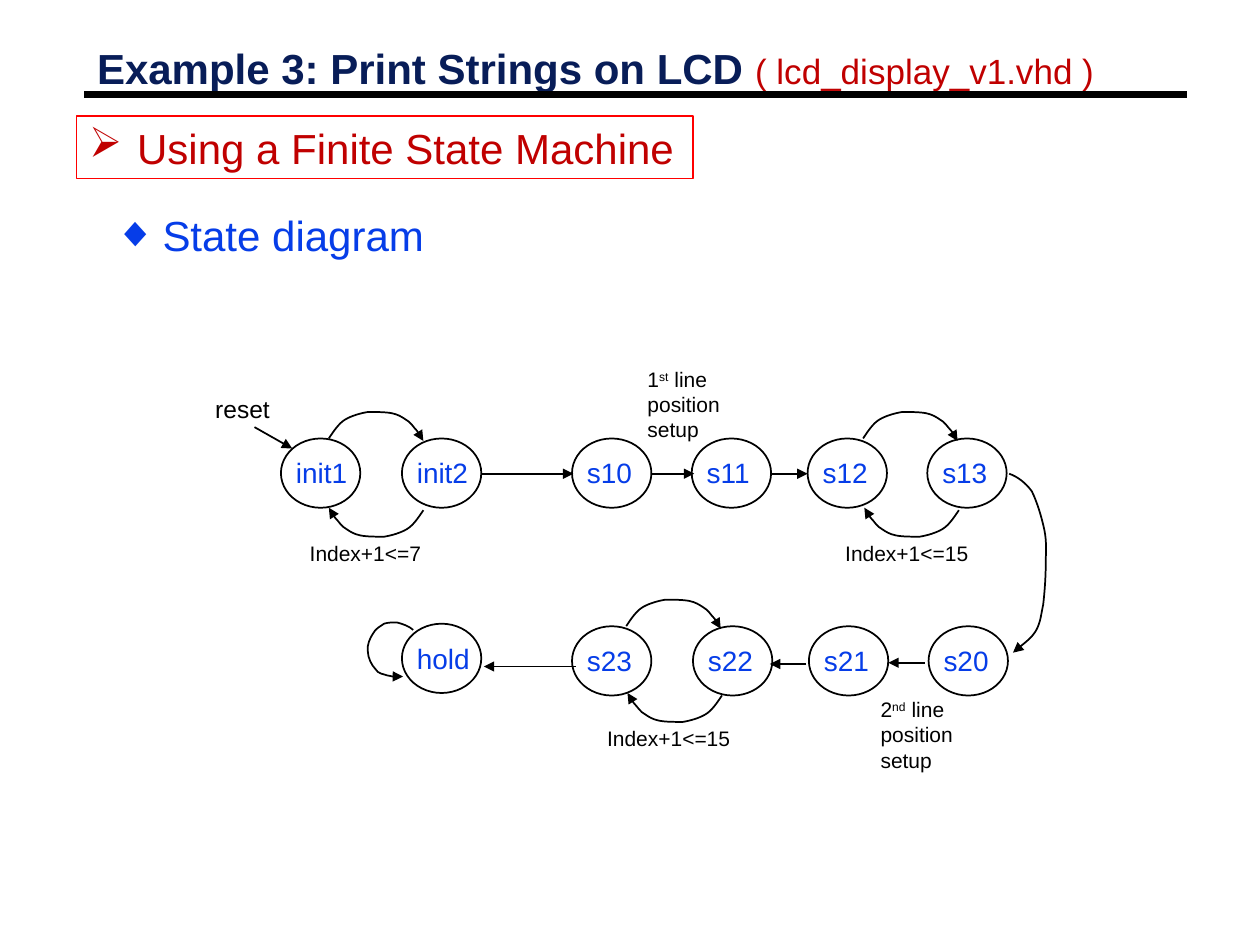
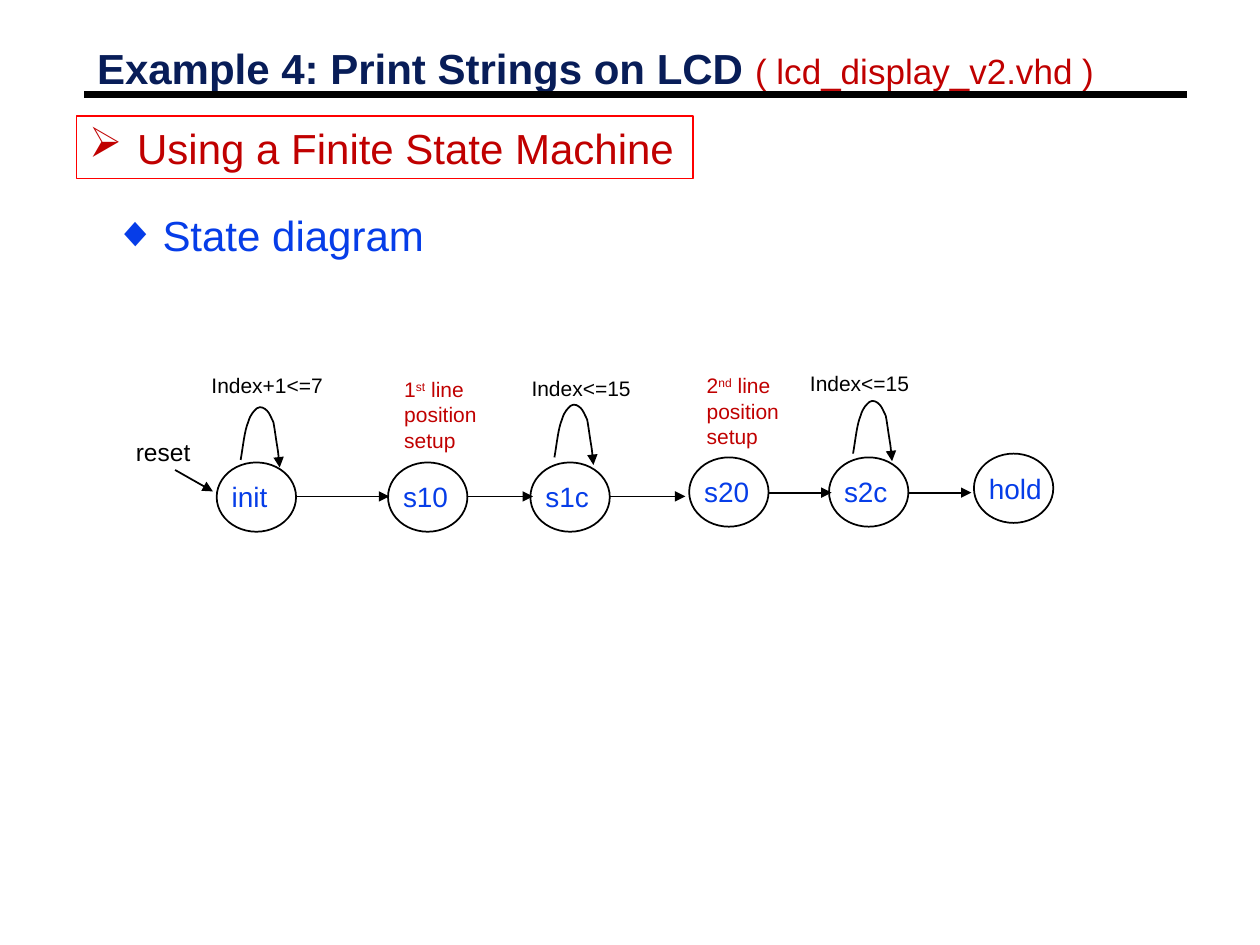
from lxml import etree
from pptx import Presentation
from pptx.dml.color import RGBColor
from pptx.enum import shapes, text
from pptx.oxml.ns import qn
from pptx.util import Inches, Pt

FONT = "Arial"
NAVY, BLUE, CRIMSON, RED, BLACK = "081D58", "063DE8", "C00000", "FF0000", "000000"
STATE_W, STATE_H = 0.63, 0.55

# Bezier points relative to a curve's start: two controls and an end per segment
ARC = [(0.04, -0.06), (0.08, -0.12), (0.13, -0.15), (0.18, -0.18), (0.25, -0.2), (0.31, -0.21),
       (0.38, -0.21), (0.45, -0.21), (0.5, -0.2), (0.55, -0.19), (0.58, -0.17), (0.61, -0.15),
       (0.65, -0.13), (0.67, -0.09), (0.7, -0.06), (0.72, -0.03), (0.75, 0.02), (0.75, 0.02)]
ARC_BACK = [(-dx, -dy) for dx, dy in ARC]
SELF_LOOP = [(0.02, -0.11), (0.03, -0.23), (0.06, -0.3), (0.08, -0.37), (0.11, -0.39),
             (0.13, -0.41), (0.16, -0.43), (0.19, -0.41), (0.21, -0.39), (0.23, -0.37),
             (0.24, -0.34), (0.26, -0.3), (0.27, -0.25), (0.28, -0.17), (0.29, -0.11),
             (0.3, -0.05), (0.31, 0.06), (0.31, 0.06)]
HOLD_LOOP = [(-0.03, -0.03), (-0.09, -0.05), (-0.13, -0.06), (-0.16, -0.06), (-0.2, -0.06),
             (-0.23, -0.05), (-0.26, -0.03), (-0.3, -0.01), (-0.32, 0.03), (-0.34, 0.06),
             (-0.37, 0.12), (-0.36, 0.17), (-0.36, 0.22), (-0.33, 0.28), (-0.3, 0.31),
             (-0.28, 0.35), (-0.23, 0.35), (-0.21, 0.36), (-0.18, 0.36), (-0.18, 0.36),
             (-0.16, 0.37), (-0.14, 0.37), (-0.11, 0.37), (-0.08, 0.37)]
ROW_CHANGE = [(0.06, 0.02), (0.13, 0.07), (0.18, 0.14), (0.22, 0.22), (0.26, 0.35), (0.28, 0.45),
              (0.3, 0.55), (0.29, 0.63), (0.29, 0.73), (0.29, 0.83), (0.28, 0.95), (0.27, 1.04),
              (0.25, 1.13), (0.25, 1.18), (0.21, 1.25), (0.17, 1.31), (0.1, 1.36), (0.03, 1.42)]


def rgb(value):
    return RGBColor.from_string(value)


def style_font(font, size, color, bold=False):
    font.name, font.size, font.bold = FONT, Pt(size), bold
    font.color.rgb = rgb(color)


def style_line(line, color, width, arrow=False):
    line.color.rgb = rgb(color)
    line.width = Pt(width)
    if arrow:
        ln = line._get_or_add_ln()
        etree.SubElement(ln, qn("a:tailEnd"), type="triangle")


def place(shape, left, top, width, height):
    shape.left, shape.top = Inches(left), Inches(top)
    shape.width, shape.height = Inches(width), Inches(height)


class Deck:
    def __init__(self):
        self.prs = Presentation()
        self.prs.slide_width, self.prs.slide_height = Inches(10), Inches(7.5)
        self.slide = None

    def new_slide(self, heading, file_name):
        """Start a slide with the title, rule, boxed topic and subtopic all slides share."""
        self.slide = self.prs.slides.add_slide(self.prs.slide_layouts[1])
        self.line((0.67, 0.75), (9.42, 0.75), 4.5, arrow=False)
        self.title(heading, file_name)

        subtopic = self.slide.placeholders[1]
        place(subtopic, 0.81, 1.61, 2.68, 0.5)
        self.bullet(subtopic, "State diagram", "◆", BLUE)

        topic = self.slide.shapes.add_shape(
            shapes.MSO_SHAPE.RECTANGLE, *map(Inches, (0.61, 0.92, 4.89, 0.5)))
        self.outline(topic, RED, 0.75)
        self.bullet(topic, "Using a Finite State Machine", "➢", CRIMSON)

    def title(self, heading, file_name):
        title = self.slide.shapes.title
        place(title, 0.67, 0.25, 8.77, 0.37)
        frame = title.text_frame
        frame.auto_size = text.MSO_AUTO_SIZE.NONE
        frame.vertical_anchor = text.MSO_ANCHOR.TOP
        frame.margin_top, frame.margin_bottom = Inches(0.09), 0
        line = frame.paragraphs[0]
        line.alignment = text.PP_ALIGN.LEFT
        for words, size, color, bold in ((heading + " ", 24, NAVY, True),
                                         (f"( {file_name} )", 20, CRIMSON, False)):
            run = line.add_run()
            run.text = words
            style_font(run.font, size, color, bold)

    def bullet(self, shape, words, mark, color):
        frame = shape.text_frame
        frame.word_wrap = True
        frame.auto_size = text.MSO_AUTO_SIZE.NONE
        frame.vertical_anchor = text.MSO_ANCHOR.TOP
        item = frame.paragraphs[0]
        item.text = words
        item.alignment = text.PP_ALIGN.LEFT
        item.space_before = Pt(0)
        props = item._p.get_or_add_pPr()
        props.set("marL", str(Inches(0.38)))
        props.set("indent", str(-Inches(0.38)))
        etree.SubElement(props, qn("a:buChar"), char=mark)
        style_font(item.font, 24, color)

    def outline(self, shape, color=BLACK, width=1, arrow=False):
        shape.shadow.inherit = False
        shape.fill.background()
        style_line(shape.line, color, width, arrow)

    def note(self, words, left, top, width, height=0.3, size=12, color=BLACK, wrap=False):
        box = self.slide.shapes.add_textbox(*map(Inches, (left, top, width, height)))
        box.text_frame.word_wrap = wrap
        label = box.text_frame.paragraphs[0]
        label.text = words
        style_font(label.font, size, color)
        return label

    def line_setup(self, number, suffix, left, top, color=BLACK):
        """Add the note '1st line position setup' with a raised suffix."""
        label = self.note(number, left, top, 0.79, 0.71, color=color, wrap=True)
        raised = label.add_run()
        raised.text = suffix
        raised._r.get_or_add_rPr().set("baseline", "30000")
        label.add_run().text = " line position setup"

    def state(self, name, left, top):
        circle = self.slide.shapes.add_shape(
            shapes.MSO_SHAPE.OVAL, *map(Inches, (left, top, STATE_W, STATE_H)))
        self.outline(circle)
        self.note(name, left + 0.02, top + 0.09, 0.65, 0.37, 16, BLUE, wrap=True)

    def line(self, start, end, width=1, arrow=True):
        line = self.slide.shapes.add_connector(
            shapes.MSO_CONNECTOR.STRAIGHT, *map(Inches, start + end))
        style_line(line.line, BLACK, width, arrow)
        etree.SubElement(line._element.spPr, qn("a:effectLst"))

    def curve(self, x, y, offsets):
        builder = self.slide.shapes.build_freeform(Inches(x), Inches(y))
        builder.add_line_segments(
            [(Inches(x + dx), Inches(y + dy)) for dx, dy in offsets], close=False)
        curve = builder.convert_to_shape()
        # Merge every three straight segments into one Bezier segment
        path = next(curve._element.iter(qn("a:path")))
        segments = path.findall(qn("a:lnTo"))
        for i in range(0, len(segments), 3):
            bezier = etree.SubElement(path, qn("a:cubicBezTo"))
            for segment in segments[i:i + 3]:
                bezier.append(segment[0])
                path.remove(segment)
        self.outline(curve, arrow=True)

    def reset(self, left, top):
        self.note("reset", left, top, 0.64, 0.34, 14)
        self.line((left + 0.41, top + 0.31), (left + 0.71, top + 0.48))


def two_row_machine(deck):
    deck.new_slide("Example 3: Print Strings on LCD", "lcd_display_v1.vhd")
    rows = {3.48: {"init1": 2.23, "init2": 3.19, "s10": 4.54, "s11": 5.49,
                   "s12": 6.41, "s13": 7.36},
            4.95: {"hold": 3.19},
            4.97: {"s23": 4.54, "s22": 5.5, "s21": 6.42, "s20": 7.37}}
    for top, states in rows.items():
        for name, left in states.items():
            deck.state(name, left, top)

    for x, y in ((2.61, 3.48), (6.85, 3.48), (4.97, 4.97)):
        deck.curve(x, y, ARC)
    for x, y in ((3.36, 4.05), (7.61, 4.05), (5.73, 5.52)):
        deck.curve(x, y, ARC_BACK)
    deck.curve(8.01, 3.76, ROW_CHANGE)
    deck.curve(3.28, 5, HOLD_LOOP)

    for x1, x2, y in ((3.82, 4.55, 3.76), (5.17, 5.51, 3.76), (6.12, 6.41, 3.76),
                      (7.34, 7.05, 5.26), (6.4, 6.11, 5.27), (4.57, 3.84, 5.29)):
        deck.line((x1, y), (x2, y))

    deck.reset(1.61, 3.08)
    deck.note("Index+1<=7", 2.36, 4.24, 1.09)
    deck.note("Index+1<=15", 6.61, 4.24, 1.19)
    deck.note("Index+1<=15", 4.72, 5.71, 1.19)
    deck.line_setup("1", "st", 5.04, 2.86)
    deck.line_setup("2", "nd", 6.89, 5.48)


def one_row_machine(deck):
    deck.new_slide("Example 4: Print Strings on LCD", "lcd_display_v2.vhd")
    for name, left, top in (("init", 1.72, 3.67), ("s10", 3.08, 3.67), ("s1c", 4.21, 3.67),
                            ("s20", 5.47, 3.63), ("s2c", 6.58, 3.63), ("hold", 7.73, 3.6)):
        deck.state(name, left, top)
    for x, y in ((1.91, 3.65), (4.4, 3.63), (6.77, 3.6)):
        deck.curve(x, y, SELF_LOOP)
    for x1, x2, y in ((2.36, 3.09, 3.94), (3.71, 4.23, 3.94), (4.84, 5.44, 3.94),
                      (6.1, 6.6, 3.91), (7.21, 7.71, 3.91)):
        deck.line((x1, y), (x2, y))

    deck.reset(0.98, 3.42)
    deck.note("Index+1<=7", 1.58, 2.91, 1.09)
    deck.note("Index<=15", 4.12, 2.93, 0.99)
    deck.note("Index<=15", 6.33, 2.89, 0.99)
    deck.line_setup("1", "st", 3.11, 2.94, CRIMSON)
    deck.line_setup("2", "nd", 5.51, 2.91, CRIMSON)


def main():
    deck = Deck()
    two_row_machine(deck)
    one_row_machine(deck)
    deck.prs.save("out.pptx")


if __name__ == "__main__":
    main()
